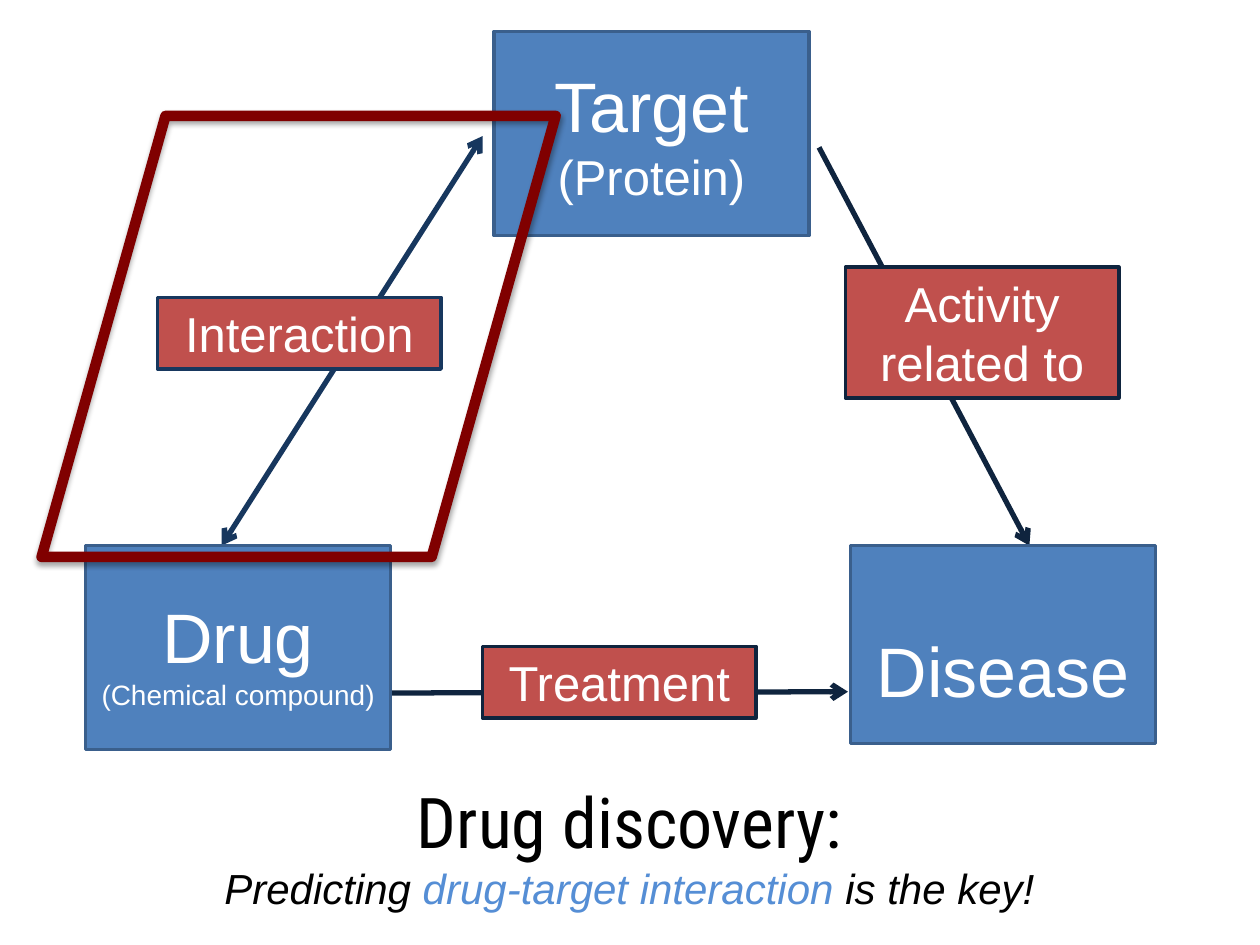
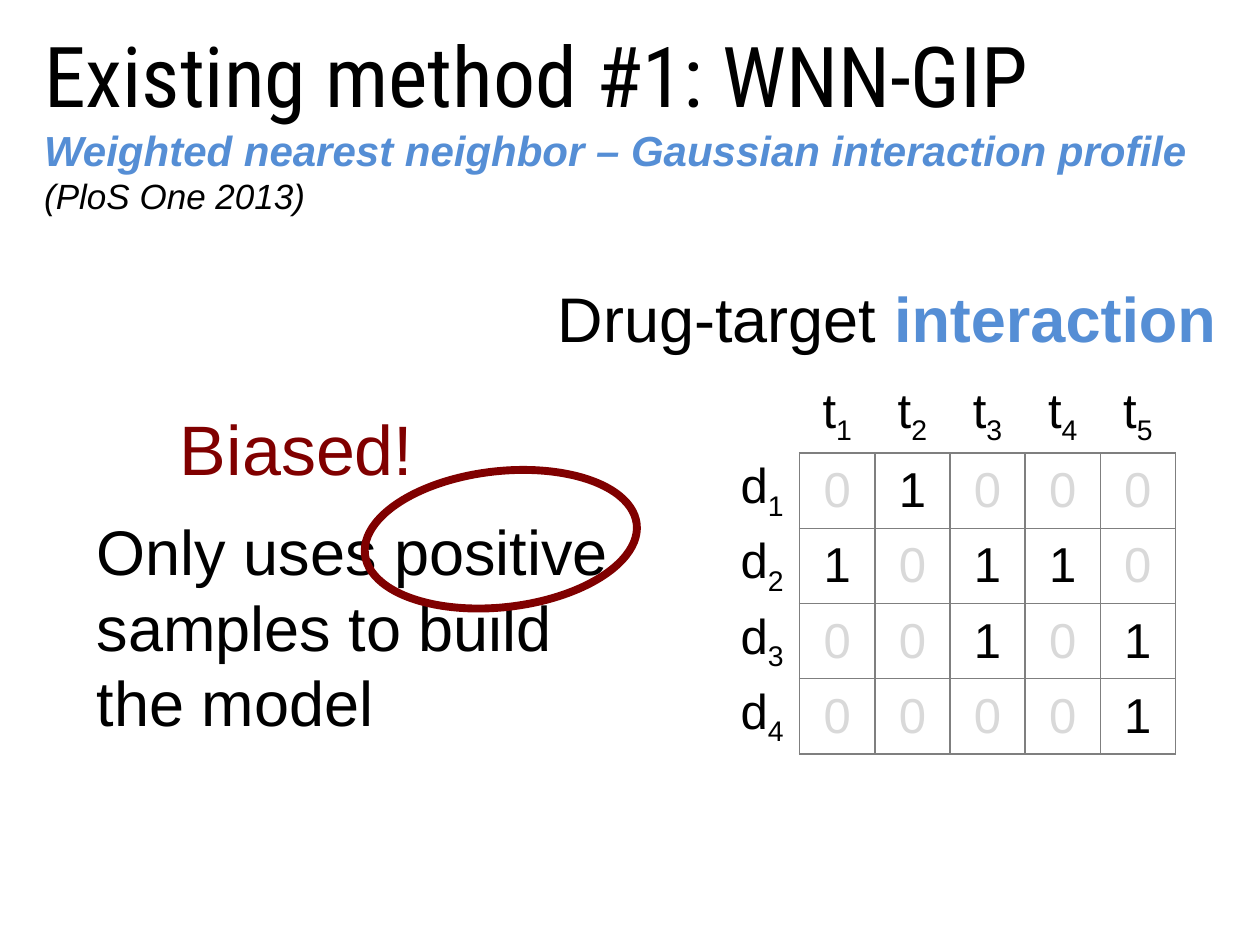
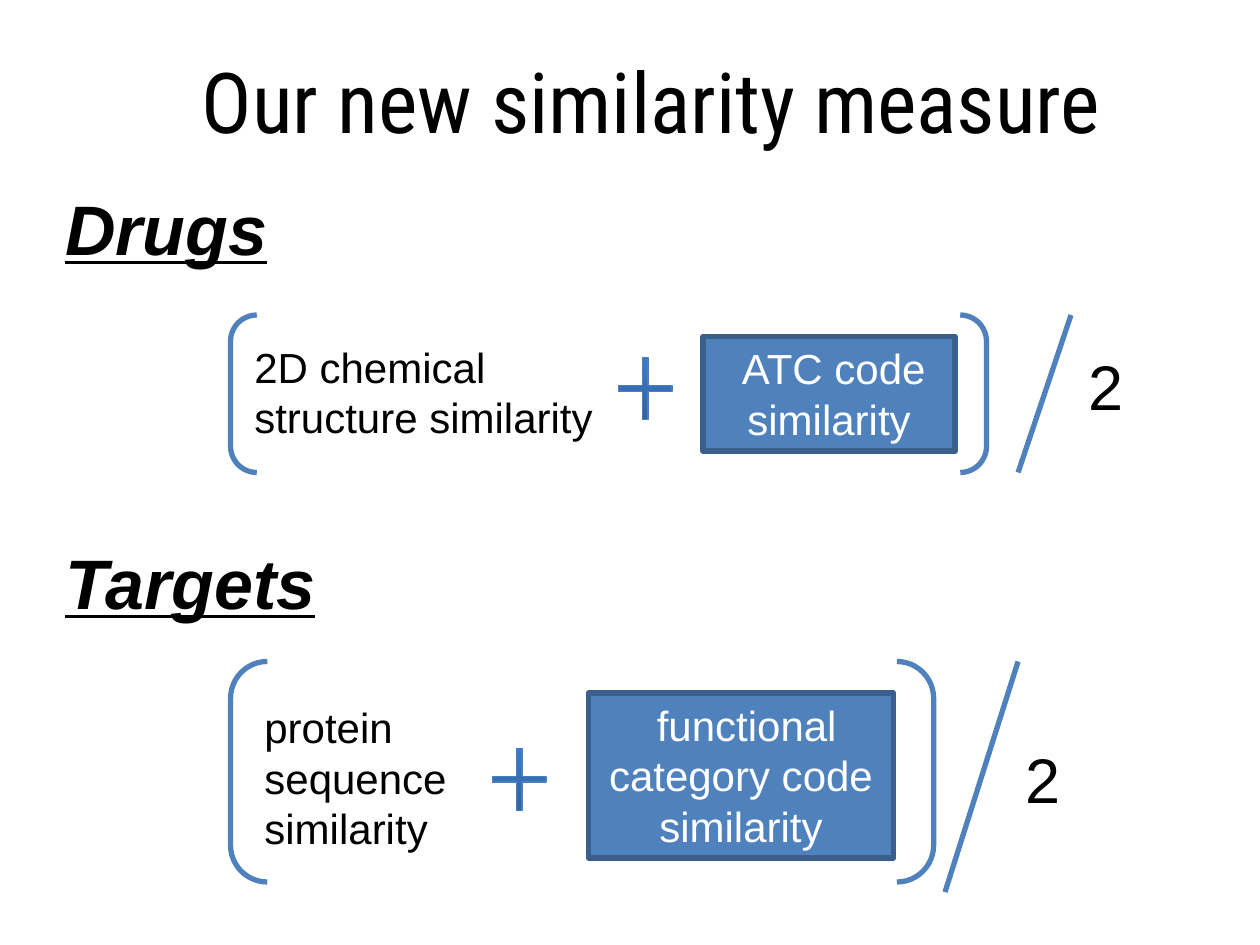
import dataclasses
import typing

import lxml.etree
import pptx
import pptx.dml.color
import pptx.enum.shapes
import pptx.enum.text
import pptx.oxml.ns
import pptx.util

Inches = pptx.util.Inches
Pt = pptx.util.Pt
Kind = pptx.enum.shapes.MSO_SHAPE
Align = pptx.enum.text.PP_ALIGN
Anchor = pptx.enum.text.MSO_ANCHOR
qn = pptx.oxml.ns.qn

HUES = {
    "black": "000000", "white": "FFFFFF", "blue": "4F81BD", "edge": "3A5F8C",
    "red": "C0504D", "navy": "17375E", "ink": "0F243E", "dark": "800000",
    "sky": "558ED5", "pale": "D9D9D9", "grid": "7F7F7F",
    "low": "2F5F99", "high": "3A7CCB", "rim": "4B7EBC",
}
BODY = "Arial"
HEAD = "Roboto Condensed"
LEAD = 1.2
ITALIC = {"italic": True}
BOLD = {"bold": True}
LABEL = {"bold": True, "italic": True, "underline": True}

Area = tuple[float, float, float, float]
Point = tuple[float, float]


@dataclasses.dataclass
class Run:
    text: str
    size: float
    hue: str = "black"
    face: str = BODY
    style: dict[str, bool] = dataclasses.field(default_factory=dict)
    sub: bool = False


Lines = list[list[Run]]


@dataclasses.dataclass
class Box:
    area: Area
    lines: Lines
    inset: float
    line: float = 2


@dataclasses.dataclass
class Link:
    start: Point
    end: Point
    hue: str
    area: Area
    text: str
    heads: tuple[str, ...] = ("tailEnd",)


@dataclasses.dataclass
class Sum:
    name: str
    top: float
    width: float
    first: Area
    words: list[str]
    plus: Point
    box: Area
    term: str
    slash: tuple[Point, Point]
    half: Point
    pair: Area


def color(name: str) -> pptx.dml.color.RGBColor:
    return pptx.dml.color.RGBColor.from_string(HUES[name])


def place(area: Area) -> list[int]:
    return [Inches(value) for value in area]


def write(frame: typing.Any, lines: Lines, align: Align = Align.LEFT, lead: bool = True) -> None:
    for index, runs in enumerate(lines):
        para = frame.add_paragraph() if index else frame.paragraphs[0]
        para.alignment = align
        if lead:
            para.line_spacing = Pt(LEAD * max(run.size for run in runs))
        for item in runs:
            run = para.add_run()
            run.text = item.text
            values = {"name": item.face, "size": Pt(item.size), "bold": False} | item.style
            for key, value in values.items():
                setattr(run.font, key, value)
            run.font.color.rgb = color(item.hue)
            if item.sub:
                run._r.get_or_add_rPr().set("baseline", "-25000")


def title(slide: typing.Any, area: Area, lines: Lines, align: Align = Align.CENTER) -> None:
    shape = slide.shapes.title
    for key, value in zip(("left", "top", "width", "height"), place(area)):
        setattr(shape, key, value)
    frame = shape.text_frame
    frame.auto_size = pptx.enum.text.MSO_AUTO_SIZE.NONE
    frame.vertical_anchor = Anchor.MIDDLE
    write(frame, lines, align)


def note(slide: typing.Any, area: Area, lines: Lines, align: Align = Align.LEFT,
         wrap: bool = True) -> None:
    frame = slide.shapes.add_textbox(*place(area)).text_frame
    frame.word_wrap = wrap
    write(frame, lines, align)


def draw(shapes: typing.Any, kind: Kind, area: Area, hue: str, width: float,
         fill: str = "") -> typing.Any:
    shape = shapes.add_shape(kind, *place(area))
    shape.shadow.inherit = False
    if fill:
        shape.fill.solid()
        shape.fill.fore_color.rgb = color(fill)
    else:
        shape.fill.background()
    shape.line.color.rgb = color(hue)
    shape.line.width = Pt(width)
    return shape


def panel(shapes: typing.Any, box: Box, hue: str = "edge", fill: str = "blue") -> None:
    frame = draw(shapes, Kind.RECTANGLE, box.area, hue, box.line, fill).text_frame
    frame.word_wrap = True
    frame.vertical_anchor = Anchor.TOP
    frame.margin_top = Inches(box.inset)
    write(frame, box.lines, Align.CENTER)


def join(shapes: typing.Any, start: Point, end: Point, hue: str,
         heads: tuple[str, ...] = ()) -> None:
    line = shapes.add_connector(pptx.enum.shapes.MSO_CONNECTOR.STRAIGHT, *place(start + end))
    line.line.color.rgb = color(hue)
    line.line.width = Pt(3)
    stroke = line.line._get_or_add_ln()
    for head in heads:
        lxml.etree.SubElement(stroke, qn(f"a:{head}")).set("type", "arrow")
    lxml.etree.SubElement(line._element.spPr, qn("a:effectLst"))


def tie(slide: typing.Any, link: Link) -> None:
    shapes = slide.shapes.add_group_shape().shapes
    join(shapes, link.start, link.end, link.hue, link.heads)
    panel(shapes, Box(link.area, [[Run(link.text, 28, "white")]], 0.05), link.hue, "red")


def shade(shape: typing.Any) -> None:
    effects = shape._element.spPr.find(qn("a:effectLst"))
    outer = lxml.etree.SubElement(effects, qn("a:outerShdw"))
    values = {"blurRad": Pt(3.1), "dist": Pt(1.8), "dir": 90 * 60000, "rotWithShape": 0}
    for key, value in values.items():
        outer.set(key, str(int(value)))
    tint = lxml.etree.SubElement(outer, qn("a:srgbClr"), val=HUES["black"])
    lxml.etree.SubElement(tint, qn("a:alpha"), val="35000")


def edge(cell: typing.Any, sides: str) -> None:
    props = cell._tc.get_or_add_tcPr()
    for index, side in enumerate("LRTB"):
        line = lxml.etree.Element(qn(f"a:ln{side}"), w=str(Pt(1)))
        if side in sides:
            fill = lxml.etree.SubElement(line, qn("a:solidFill"))
            lxml.etree.SubElement(fill, qn("a:srgbClr"), val=HUES["grid"])
        else:
            lxml.etree.SubElement(line, qn("a:noFill"))
        props.insert(index, line)


def matrix(slide: typing.Any, area: Area, rows: list[str]) -> None:
    count = len(rows[0]) + 1
    table = slide.shapes.add_table(len(rows) + 1, count, *place(area)).table
    table.first_row = False
    table.horz_banding = False
    for row in range(len(rows) + 1):
        for col in range(count):
            cell = table.cell(row, col)
            cell.fill.background()
            cell.vertical_anchor = Anchor.MIDDLE
            if row and col:
                mark = rows[row - 1][col - 1]
                runs = [Run(mark, 28, "black" if mark == "1" else "pale")]
                sides = "LRTB"
            elif row or col:
                runs = [Run("d" if row else "t", 28), Run(str(row or col), 28, sub=True)]
                sides = "R" if row else "B"
            else:
                runs, sides = [], ""
            write(cell.text_frame, [runs], Align.CENTER, lead=False)
            edge(cell, sides)


def cross(slide: typing.Any, spot: Point) -> None:
    shape = draw(slide.shapes, Kind.MATH_PLUS, spot + (0.58, 0.67), "rim", 0.75)
    shape.adjustments[0] = 0.078
    shape.fill.gradient()
    shape.fill.gradient_angle = 90
    for stop, hue, share in zip(shape.fill.gradient_stops, ("low", "high"), (0, 0.9)):
        stop.color.rgb = color(hue)
        stop.position = share


def scheme(slide: typing.Any) -> None:
    links = [
        Link((1.76, 4.33), (3.83, 1.08), "navy", (1.25, 2.36, 2.25, 0.57), "Interaction",
             ("headEnd", "tailEnd")),
        Link((6.5, 1.17), (8.17, 4.33), "ink", (6.71, 2.12, 2.17, 1.04), "Activity related to"),
        Link((3.08, 5.5), (6.73, 5.49), "ink", (3.83, 5.13, 2.17, 0.57), "Treatment"),
    ]
    boxes = [
        Box((0.68, 4.33, 2.42, 1.62),
            [[Run("Drug", 40, "white")], [Run("(Chemical compound)", 16, "white")]], 0.38),
        Box((6.75, 4.33, 2.42, 1.57), [[Run("Disease", 40, "white")]], 0.65),
        Box((3.92, 0.25, 2.5, 1.62),
            [[Run("Target", 40, "white")], [Run("(Protein)", 28, "white")]], 0.25),
    ]
    for link in links:
        tie(slide, link)
    for box in boxes:
        panel(slide.shapes, box)
    frame = draw(slide.shapes, Kind.PARALLELOGRAM, (0.33, 0.92, 4.08, 3.5), "dark", 6)
    frame.adjustments[0] = 0.281
    shade(frame)
    title(slide, (0.33, 6.17, 9.33, 1.08), [
        [Run("Drug discovery:", 40, face=HEAD)],
        [Run("Predicting ", 24, style=ITALIC),
         Run("drug-target interaction ", 24, "sky", style=ITALIC),
         Run("is the key!", 24, style=ITALIC)],
    ])


def method(slide: typing.Any) -> None:
    title(slide, (0.25, 0.33, 9.33, 1.25), [
        [Run("Existing method #1: WNN-GIP", 48, face=HEAD)],
        [Run("Weighted nearest neighbor – Gaussian interaction profile", 24, "sky",
             style=BOLD | ITALIC)],
        [Run("(PloS One 2013)", 20, style=ITALIC)],
    ], Align.LEFT)
    matrix(slide, (5.75, 3, 3.58, 2.98), ["01000", "10110", "00101", "00001"])
    note(slide, (3.67, 2.17, 6.08, 0.71),
         [[Run("Drug-target ", 36), Run("interaction", 36, "sky", style=BOLD)]], Align.RIGHT)
    note(slide, (0.67, 4.02, 4.5, 1.92),
         [[Run("Only uses positive samples to build the model", 36)]])
    ring = draw(slide.shapes, Kind.OVAL, (2.89, 3.74, 2.17, 1.08), "dark", 4.5)
    ring.rotation = 353.6
    note(slide, (1.33, 3.17, 2.08, 0.77), [[Run("Biased!", 40, "dark")]])


def measure(slide: typing.Any) -> None:
    title(slide, (0.67, 0.17, 9, 1.25), [[Run("Our new similarity measure", 48, face=HEAD)]])
    sums = [
        Sum("Drugs", 1.42, 1.96, (1.92, 2.66, 3.25, 0.91), ["2D chemical structure similarity"],
            (4.83, 2.75), (5.58, 2.67, 2, 0.91), " ATC code similarity",
            ((8.08, 3.75), (8.5, 2.5)), (8.33, 2.71), (1.83, 2.5, 6, 1.25)),
        Sum("Targets", 4.23, 2.34, (2, 5.52, 1.75, 1.31), ["protein", "sequence similarity"],
            (3.83, 5.85), (4.67, 5.5, 2.42, 1.31), " functional category code similarity",
            ((7.5, 7.08), (8.08, 5.25)), (7.83, 5.83), (1.83, 5.25, 5.58, 1.75)),
    ]
    for item in sums:
        panel(slide.shapes, Box(item.box, [[Run(item.term, 24, "white")]], 0.05, 3))
        note(slide, item.first, [[Run(word, 24)] for word in item.words])
        note(slide, (0.42, item.top, item.width, 0.77), [[Run(item.name, 40, style=LABEL)]],
             wrap=False)
        cross(slide, item.plus)
        join(slide.shapes, *item.slash, "blue")
        note(slide, item.half + (0.75, 0.71), [[Run(" 2", 36)]], Align.CENTER)
        draw(slide.shapes, Kind.DOUBLE_BRACKET, item.pair, "blue", 3)


def main() -> None:
    deck = pptx.Presentation()
    deck.slide_width = Inches(10)
    deck.slide_height = Inches(7.5)
    for build in (scheme, method, measure):
        build(deck.slides.add_slide(deck.slide_layouts[5]))
    deck.save("out.pptx")


if __name__ == "__main__":
    main()
